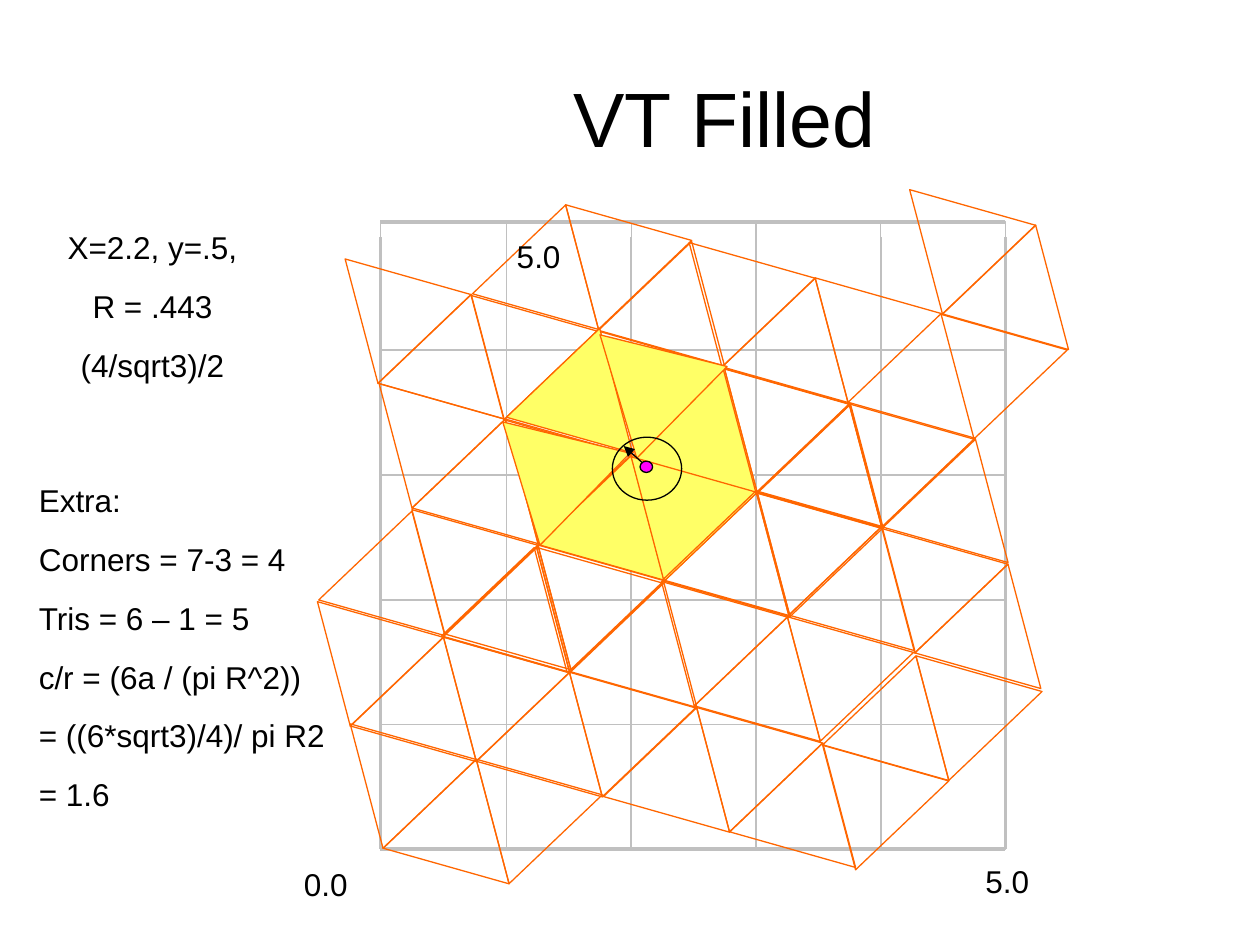
from lxml import etree
from pptx import Presentation
from pptx.dml.color import RGBColor
from pptx.enum.shapes import MSO_CONNECTOR, MSO_SHAPE
from pptx.enum.text import MSO_ANCHOR, MSO_AUTO_SIZE, PP_ALIGN
from pptx.oxml.ns import qn
from pptx.util import Inches, Pt

RECT, TRIANGLE, OVAL = MSO_SHAPE.RECTANGLE, MSO_SHAPE.ISOSCELES_TRIANGLE, MSO_SHAPE.OVAL
STRAIGHT = MSO_CONNECTOR.STRAIGHT
CENTER, LEFT = PP_ALIGN.CENTER, PP_ALIGN.LEFT
MIDDLE = MSO_ANCHOR.MIDDLE
FIT, NO_FIT = MSO_AUTO_SIZE.SHAPE_TO_FIT_TEXT, MSO_AUTO_SIZE.NONE

BLACK, GRAY, ORANGE, YELLOW, MAGENTA = "000000", "C0C0C0", "FF6600", "FFFF66", "FF00FF"

TITLE = ["VT Filled"]
PARAMETERS = ["X=2.2, y=.5,", "R = .443", "(4/sqrt3)/2"]
EXTRA = [
    "Extra:",
    "Corners = 7-3 = 4",
    "Tris = 6 – 1 = 5",
    "c/r = (6a / (pi R^2))",
    "= ((6*sqrt3)/4)/ pi R2",
    "= 1.6",
]
AXIS_LABELS = [("0.0", 2.03, 6.82), ("5.0", 3.72, 1.83), ("5.0", 7.44, 6.79)]

GRID_X = [3.02, 4.02, 5.01, 6, 6.99, 7.98]
GRID_Y = [1.76, 2.78, 3.77, 4.76, 5.75, 6.74]
OPEN_CELLS = {(2, 1), (2, 2)}
COLUMN_TOP = 1.88

TRI_W, TRI_H, TILT = 1.04, 0.88, 15.8
PARTS = {"up": (0, 0, 0), "right": (0.5, 0.14, 180), "left": (-0.5, -0.14, 180)}
PATCHES = [
    (4.1, 2.61, "up right left", ""),
    (3.37, 3.31, "right up left", ""),
    (4.37, 3.6, "up", "up"),
    (3.63, 4.31, "up right left", ""),
    (3.1, 2.32, "left up", ""),
    (5.11, 2.91, "right up", "up"),
    (6.11, 3.19, "up", ""),
    (5.37, 3.89, "up right left", "left"),
    (5.36, 3.88, "right up", ""),
    (6.36, 4.16, "up", ""),
    (5.61, 4.88, "up right left", ""),
    (4.89, 5.6, "right up", ""),
    (5.89, 5.88, "up", ""),
    (7.36, 4.46, "up left", ""),
    (3.62, 4.33, "right up", ""),
    (3.88, 5.32, "up right left", ""),
    (6.63, 5.19, "right up", ""),
    (5.89, 5.9, "right", ""),
    (2.63, 4.04, "up", ""),
    (2.88, 5.04, "left up", ""),
    (7.1, 3.46, "up left", ""),
    (3.14, 6.01, "up right left", ""),
    (6.1, 3.19, "up right left", ""),
    (5.83, 2.19, "up right left", ""),
    (6.83, 2.48, "right", ""),
    (7.58, 1.77, "up left", ""),
    (3.85, 1.61, "right up", ""),
    (4.85, 1.9, "up", ""),
]
TOP_TRIANGLES = [
    (4.12, 2.59, TILT, YELLOW),
    (4.64, 2.77, 194, YELLOW),
    (3.87, 3.46, 193.8, YELLOW),
]
LOOSE_TRIANGLES = [(3.6, 4.33), (4.63, 4.61)]


def rgb(color):
    return RGBColor.from_string(color)


def add_text(lines, x, y, w, h, align=CENTER, size=18, anchor=None, fit=FIT, gap=12):
    tf = slide.shapes.add_textbox(Inches(x), Inches(y), Inches(w), Inches(h)).text_frame
    tf.word_wrap = True
    tf.auto_size = fit
    if anchor is not None:
        tf.vertical_anchor = anchor
    tf.text = "\n".join(lines)
    for p in tf.paragraphs:
        p.alignment = align
        p.space_before = Pt(gap)
        for r in p.runs:
            r.font.name = "Arial"
            r.font.size = Pt(size)
            r.font.color.rgb = rgb(BLACK)


def add_outline(shapes, kind, x, y, w, h, line, fill=None, rotation=0):
    sp = shapes.add_shape(kind, Inches(x), Inches(y), Inches(w), Inches(h))
    sp.shadow.inherit = False
    sp.rotation = rotation
    sp.line.color.rgb = rgb(line)
    sp.line.width = Pt(0.75)
    if fill:
        sp.fill.solid()
        sp.fill.fore_color.rgb = rgb(fill)
    else:
        sp.fill.background()


def add_triangle(shapes, x, y, rotation=TILT, fill=None):
    add_outline(shapes, TRIANGLE, x, y, TRI_W, TRI_H, ORANGE, fill, rotation)


def add_line(shapes, x1, y1, x2, y2, color, width):
    cn = shapes.add_connector(STRAIGHT, Inches(x1), Inches(y1), Inches(x2), Inches(y2))
    cn.line.color.rgb = rgb(color)
    cn.line.width = Pt(width)
    etree.SubElement(cn._element.spPr, qn("a:effectLst"))
    return cn


prs = Presentation()
prs.slide_width, prs.slide_height = Inches(10), Inches(7.5)
slide = prs.slides.add_slide(prs.slide_layouts[6])

add_text(TITLE, 1.25, 0.3, 9, 1.25, size=44, anchor=MIDDLE, fit=NO_FIT, gap=0)
add_text(PARAMETERS, 0.4, 1.76, 1.62, 1.32)
add_text(EXTRA, 0.21, 3.77, 2.66, 2.68, align=LEFT)

mesh = slide.shapes.add_group_shape().shapes
for row, (top, bottom) in enumerate(zip(GRID_Y, GRID_Y[1:])):
    for col, (left, right) in enumerate(zip(GRID_X, GRID_X[1:])):
        if (col, row) not in OPEN_CELLS:
            add_outline(mesh, RECT, left, top, right - left, bottom - top, GRAY)
for y in GRID_Y:
    width = 2.25 if y in (GRID_Y[0], GRID_Y[-1]) else 1
    add_line(mesh, GRID_X[0], y, GRID_X[-1], y, GRAY, width)
for x in GRID_X:
    width = 2.25 if x in (GRID_X[0], GRID_X[-1]) else 1
    add_line(mesh, x, COLUMN_TOP, x, GRID_Y[-1], GRAY, width)

for x, y, parts, filled in PATCHES:
    for part in parts.split():
        dx, dy, turn = PARTS[part]
        add_triangle(mesh, x + dx, y + dy, TILT + turn, YELLOW if part == filled else None)
for x, y, rotation, fill in TOP_TRIANGLES:
    add_triangle(mesh, x, y, rotation, fill)
for x, y in LOOSE_TRIANGLES:
    add_triangle(slide.shapes, x, y)

for label, x, y in AXIS_LABELS:
    add_text([label], x, y, 1.11, 0.4)

marker = slide.shapes.add_group_shape().shapes
radius = add_line(marker, 5.14, 3.71, 4.95, 3.54, BLACK, 0.75)
etree.SubElement(radius.line._get_or_add_ln(), qn("a:tailEnd"), type="triangle")
add_outline(marker, OVAL, 4.86, 3.47, 0.55, 0.5, BLACK)
add_outline(marker, OVAL, 5.08, 3.66, 0.1, 0.09, BLACK, MAGENTA)

prs.save("out.pptx")
